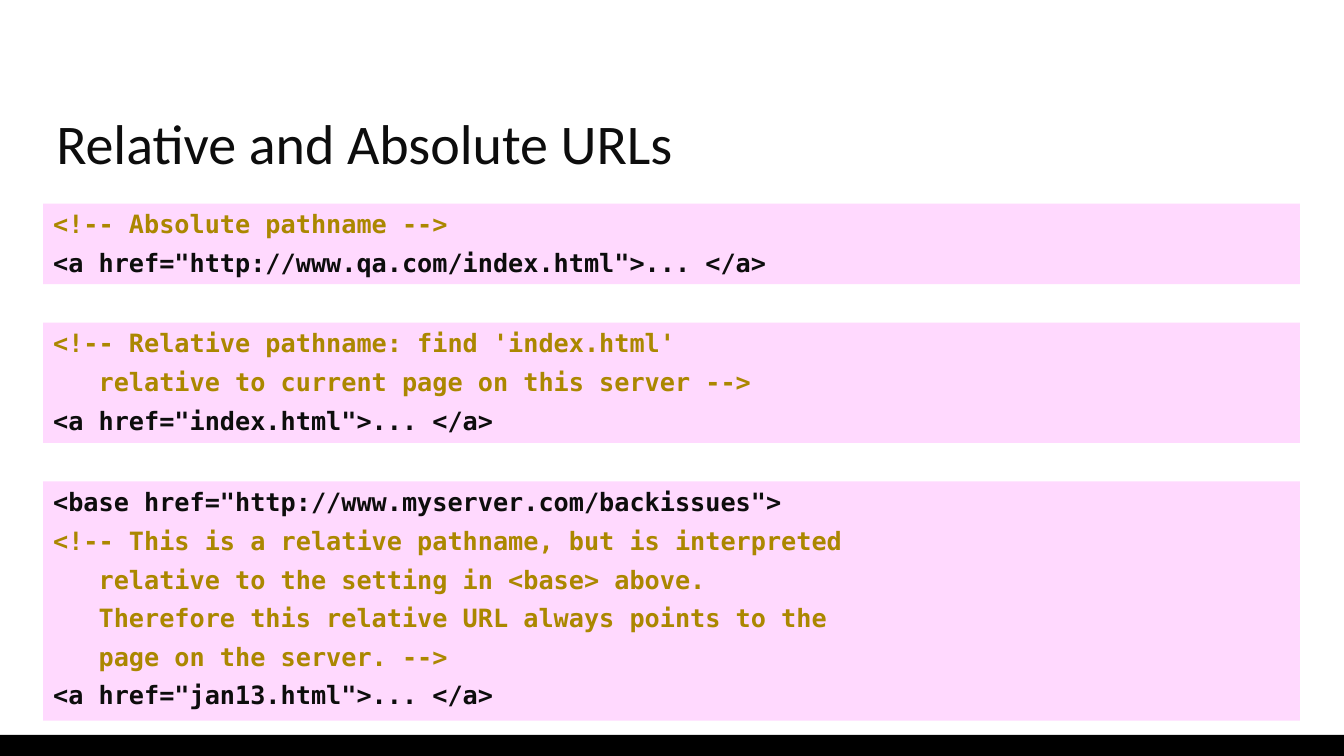
import pptx
import pptx.util
import pptx.dml.color
import pptx.enum.shapes
import pptx.enum.text
from pptx.util import Cm

HEADING = "Relative and Absolute URLs"
EXAMPLES = [
    [
        ("comment", "<!-- Absolute pathname -->"),
        ("markup", '<a href="http://www.qa.com/index.html">... </a>'),
    ],
    [
        ("comment", "<!-- Relative pathname: find 'index.html'"),
        ("comment", "   relative to current page on this server -->"),
        ("markup", '<a href="index.html">... </a>'),
    ],
    [
        ("markup", '<base href="http://www.myserver.com/backissues">'),
        ("comment", "<!-- This is a relative pathname, but is interpreted"),
        ("comment", "   relative to the setting in <base> above."),
        ("comment", "   Therefore this relative URL always points to the"),
        ("comment", "   page on the server. -->"),
        ("markup", '<a href="jan13.html">... </a>'),
    ],
]

THEME = {
    "heading": "0D0D0D",
    "markup": "0D0D0D",
    "comment": "AB8700",
    "panel": "FFD9FE",
    "footer": "000000",
    "heading_font": "Calibri",
    "code_font": "DejaVu Sans Mono",
    "heading_size": 40,
    "code_size": 18,
    "code_gap": 6,
}

SLIDE_WIDTH, SLIDE_HEIGHT = Cm(33.87), Cm(19.05)
FOOTER_HEIGHT = Cm(0.53)
PANEL_LEFT, PANEL_TOP, PANEL_WIDTH = Cm(1.09), Cm(5.13), Cm(31.67)
PANEL_GAP, LINE_HEIGHT, PANEL_SLACK = Cm(0.97), Cm(1), Cm(0.03)


def color(name):
    return pptx.dml.color.RGBColor.from_string(THEME[name])


def add_bar(slide, left, top, width, height, fill):
    bar = slide.shapes.add_shape(
        pptx.enum.shapes.MSO_SHAPE.RECTANGLE, left, top, width, height)
    bar.shadow.inherit = False
    bar.fill.solid()
    bar.fill.fore_color.rgb = color(fill)
    bar.line.fill.background()
    return bar


def write(frame, lines, font, size, bold=False, gap=0, spacing=1.0,
          side=Cm(0.25), anchor=pptx.enum.text.MSO_ANCHOR.TOP):
    frame.word_wrap = True
    frame.vertical_anchor = anchor
    frame.margin_left = frame.margin_right = side
    frame.margin_top = frame.margin_bottom = Cm(0.13)
    for index, (role, text) in enumerate(lines):
        paragraph = frame.add_paragraph() if index else frame.paragraphs[0]
        paragraph.alignment = pptx.enum.text.PP_ALIGN.LEFT
        paragraph.line_spacing = spacing
        if index:
            paragraph.space_before = pptx.util.Pt(gap)
        run = paragraph.add_run()
        run.text = text
        run.font.name = THEME[font]
        run.font.size = pptx.util.Pt(THEME[size])
        run.font.bold = bold
        run.font.color.rgb = color(role)


def main():
    deck = pptx.Presentation()
    deck.slide_width, deck.slide_height = SLIDE_WIDTH, SLIDE_HEIGHT
    slide = deck.slides.add_slide(deck.slide_layouts[6])

    add_bar(slide, 0, SLIDE_HEIGHT - FOOTER_HEIGHT, SLIDE_WIDTH,
            FOOTER_HEIGHT, "footer")
    heading = slide.shapes.add_textbox(Cm(1.42), Cm(2.69), Cm(31.01), Cm(2.01))
    write(heading.text_frame, [("heading", HEADING)], "heading_font",
          "heading_size", spacing=0.9, side=0,
          anchor=pptx.enum.text.MSO_ANCHOR.MIDDLE)

    top = PANEL_TOP
    for example in EXAMPLES:
        height = LINE_HEIGHT * len(example) + PANEL_SLACK
        panel = add_bar(slide, PANEL_LEFT, top, PANEL_WIDTH, height, "panel")
        write(panel.text_frame, example, "code_font", "code_size", bold=True,
              gap=THEME["code_gap"])
        top += height + PANEL_GAP

    deck.save("out.pptx")


if __name__ == "__main__":
    main()
